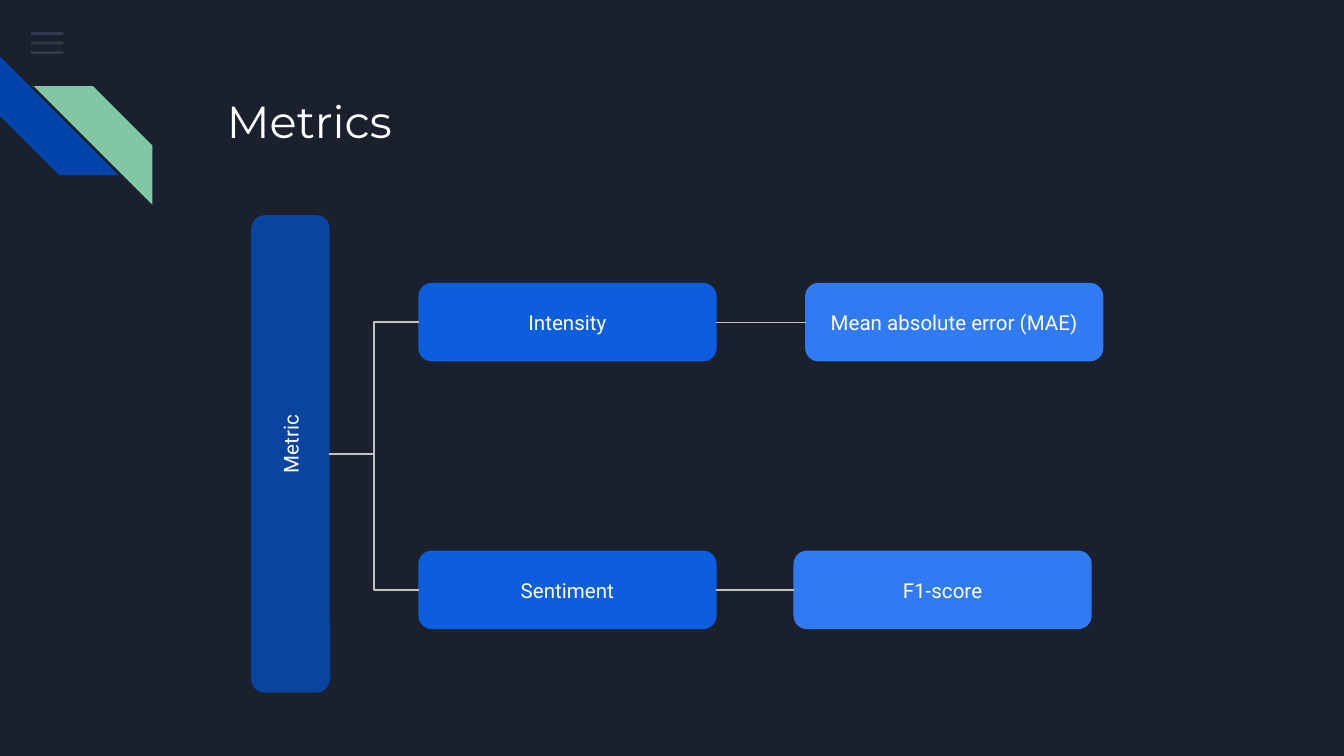
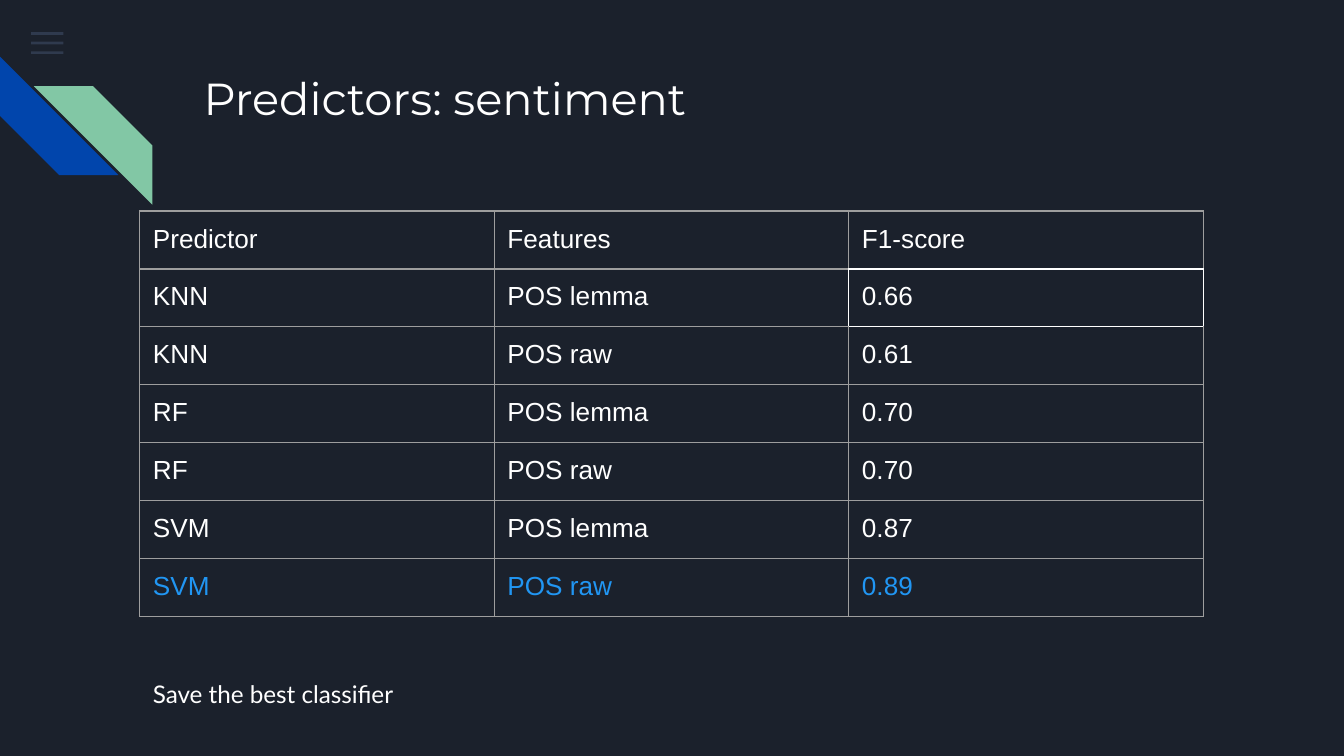
from lxml.etree import SubElement
from pptx import Presentation
from pptx.dml.color import RGBColor
from pptx.enum.shapes import MSO_CONNECTOR as LINK, MSO_SHAPE as SHAPE
from pptx.enum.text import MSO_ANCHOR as ANCHOR, PP_ALIGN as ALIGN
from pptx.oxml.ns import qn
from pptx.util import Cm, Pt

COLORS = {
    "background": "1B212C", "menu": "55688B", "stripe_blue": "0145AC",
    "stripe_green": "82C7A5", "root": "0944A1", "target": "0D5DDF",
    "measure": "307BF3", "link": "C2C2C2", "grid": "9E9E9E",
    "white": "FFFFFF", "best": "2196F3",
}
INSET = Cm(0.25)
THIN = Pt(0.75)
BOTTOM, LEFT, RIGHT = 2, 1, 3


def rgb(name):
    return RGBColor.from_string(COLORS[name])


class Deck:
    def __init__(self):
        self.prs = Presentation()
        self.prs.slide_width, self.prs.slide_height = Cm(25.4), Cm(14.29)
        self.slide = None

    def new_slide(self):
        self.slide = self.prs.slides.add_slide(self.prs.slide_layouts[6])
        fill = self.slide.background.fill
        fill.solid()
        fill.fore_color.rgb = rgb("background")
        # Menu icon
        for i in range(3):
            bar = self.shape(SHAPE.RECTANGLE, 0.59, 0.61 + 0.18 * i, 0.61, 0.05, "menu")
            color = bar._element.spPr.find(qn("a:solidFill"))[0]
            SubElement(color, qn("a:alpha"), val="36000")
        # Corner stripes
        corner = self.slide.shapes.add_group_shape().shapes
        blue = self.shape(SHAPE.DIAGONAL_STRIPE, 0, 1.07, 2.24, 2.24, "stripe_blue", corner)
        blue.rotation = 270
        green = self.shape(SHAPE.DIAGONAL_STRIPE, 0.64, 1.63, 2.24, 2.24, "stripe_green", corner)
        green._element.spPr.find(qn("a:xfrm")).set("flipH", "1")

    def shape(self, kind, left, top, width, height, color, shapes=None):
        if shapes is None:
            shapes = self.slide.shapes
        shape = shapes.add_shape(kind, Cm(left), Cm(top), Cm(width), Cm(height))
        shape.shadow.inherit = False
        shape.fill.solid()
        shape.fill.fore_color.rgb = rgb(color)
        shape.line.fill.background()
        return shape

    def add_words(self, frame, text, font, size, color="white", align=ALIGN.LEFT):
        frame.word_wrap = True
        paragraph = frame.paragraphs[0]
        paragraph.alignment = align
        run = paragraph.add_run()
        run.text = text
        run.font.name, run.font.size = font, Pt(size)
        run.font.color.rgb = rgb(color)
        return paragraph

    def set_insets(self, holder):
        holder.margin_left = holder.margin_right = INSET
        holder.margin_top = holder.margin_bottom = INSET

    def text(self, text, left, top, width, height, font, size):
        box = self.slide.shapes.add_textbox(Cm(left), Cm(top), Cm(width), Cm(height))
        self.set_insets(box.text_frame)
        return self.add_words(box.text_frame, text, font, size)

    def title(self, text, left, top):
        self.text(text, left, top, 19.56, 2.54, "Montserrat", 24)

    def node(self, text, left, top, color, width=5.61, align=ALIGN.CENTER):
        node = self.shape(SHAPE.ROUNDED_RECTANGLE, left, top, width, 1.46, color)
        node.line.color.rgb = rgb(color)
        node.line.width = THIN
        self.set_insets(node.text_frame)
        node.text_frame.vertical_anchor = ANCHOR.MIDDLE
        self.add_words(node.text_frame, text, "Roboto", 11, align=align)
        return node

    def link(self, kind, start, start_site, end):
        link = self.slide.shapes.add_connector(kind, 0, 0, 0, 0)
        link.begin_connect(start, start_site)
        link.end_connect(end, LEFT)
        link.line.color.rgb = rgb("link")
        link.line.width = THIN
        SubElement(link._element.spPr, qn("a:effectLst"))
        return link

    def table(self, rows, left, top, col_width, row_height, best_row, framed):
        table = self.slide.shapes.add_table(
            len(rows), len(rows[0]), Cm(left), Cm(top),
            Cm(col_width * len(rows[0])), Cm(row_height * len(rows))).table
        table.first_row = table.horz_banding = False
        for column in table.columns:
            column.width = Cm(col_width)
        for r, values in enumerate(rows):
            table.rows[r].height = Cm(row_height)
            for c, value in enumerate(values):
                cell = table.cell(r, c)
                self.set_insets(cell)
                self.borders(cell, r, c, framed)
                cell.fill.background()
                self.add_words(cell.text_frame, value, "Arial", 14,
                               "best" if r == best_row else "white")

    def borders(self, cell, r, c, framed):
        sides = {"L": (r, c - 1), "R": (r, c + 1), "T": (r - 1, c), "B": (r + 1, c)}
        for side, neighbour in sides.items():
            color = "white" if framed in ((r, c), neighbour) else "grid"
            line = SubElement(cell._tc.get_or_add_tcPr(), qn("a:ln" + side), w=str(int(THIN)))
            fill = SubElement(line, qn("a:solidFill"))
            SubElement(fill, qn("a:srgbClr"), val=COLORS[color])


def metrics(deck):
    deck.new_slide()
    # Root bar, turned to read upwards
    root = deck.node("Metric", 0.99, 7.85, "root", width=9, align=ALIGN.JUSTIFY)
    root.rotation = 270
    indent = root.text_frame.paragraphs[0]._p.get_or_add_pPr()
    indent.set("marL", str(int(Cm(2.54))))
    indent.set("indent", str(int(Cm(1.27))))
    center_x = root.left + root.width // 2
    center_y = root.top + root.height // 2
    # One branch for each target
    for target_name, measure_name, top, measure_left in (
            ("Intensity", "Mean absolute error (MAE)", 5.36, 15.23),
            ("Sentiment", "F1-score", 10.42, 15.01)):
        target = deck.node(target_name, 7.92, top, "target")
        measure = deck.node(measure_name, measure_left, top, "measure")
        branch = deck.link(LINK.ELBOW, root, BOTTOM, target)
        # The bottom of the turned bar faces right
        branch.begin_x, branch.begin_y = center_x + root.height // 2, center_y
        deck.link(LINK.STRAIGHT, target, RIGHT, measure)
    deck.title("Metrics", 4.04, 1.52)


def predictors(deck):
    deck.new_slide()
    deck.title("Predictors: sentiment", 3.6, 1.09)
    # Scores
    scores = [
        ("Predictor", "Features", "F1-score"),
        ("KNN", "POS lemma", "0.66"),
        ("KNN", "POS raw", "0.61"),
        ("RF", "POS lemma", "0.70"),
        ("RF", "POS raw", "0.70"),
        ("SVM", "POS lemma", "0.87"),
        ("SVM", "POS raw", "0.89"),
    ]
    deck.table(scores, 2.64, 3.99, 6.7, 1.06, best_row=6, framed=(1, 2))
    # Closing remark
    remark = deck.text("Save the best classifier", 2.64, 12.5, 16.33, 1.07, "Lato", 13)
    remark.line_spacing = 1.15
    remark.space_after = Pt(16)


def main():
    deck = Deck()
    metrics(deck)
    predictors(deck)
    deck.prs.save("out.pptx")


if __name__ == "__main__":
    main()
